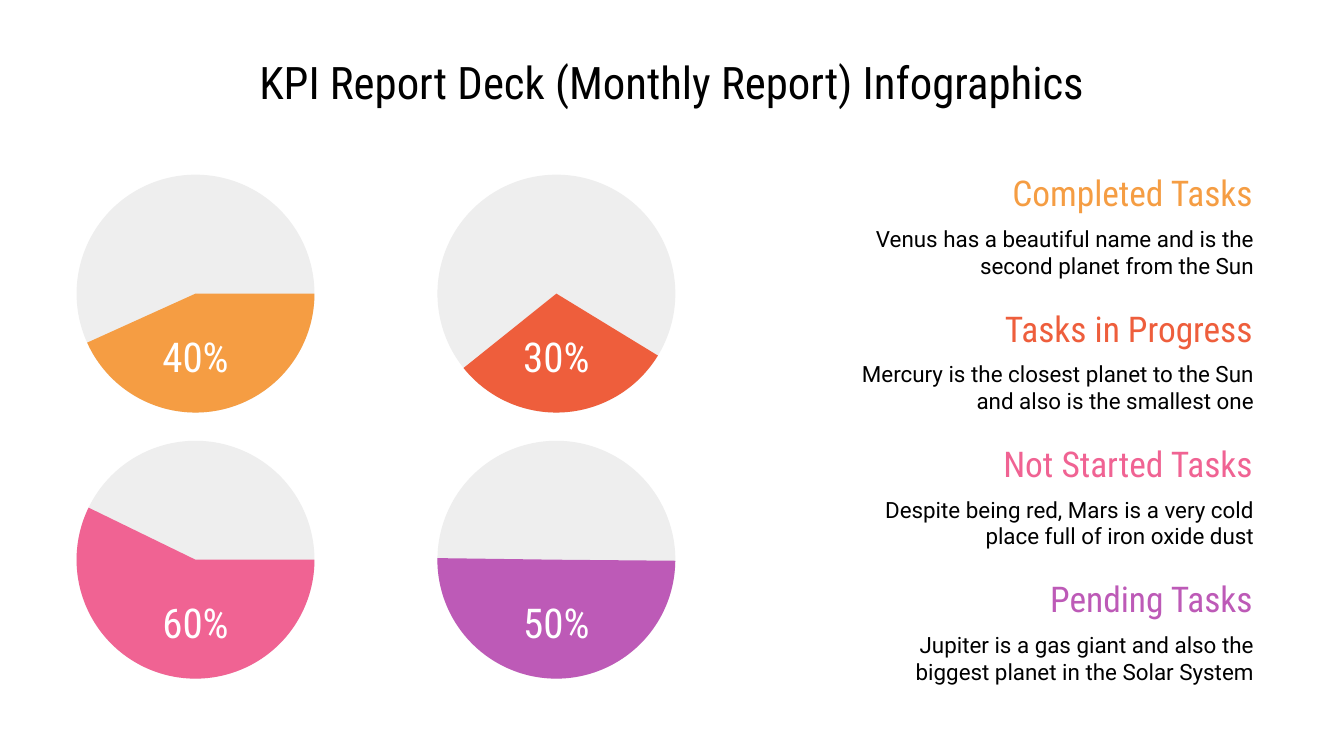
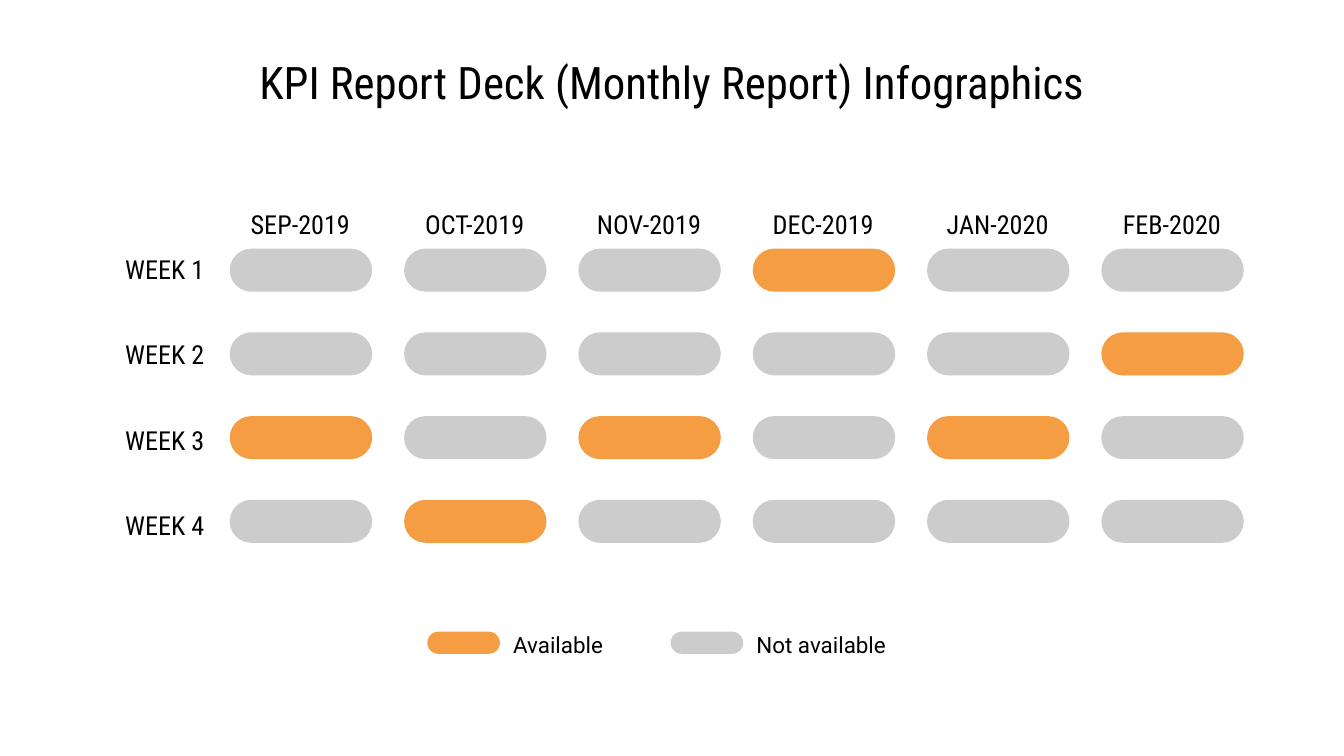
from pptx import Presentation
from pptx.dml.color import RGBColor
from pptx.enum.shapes import MSO_SHAPE as Kind
from pptx.enum.text import MSO_ANCHOR as Anchor, MSO_AUTO_SIZE as Fit, PP_ALIGN as Align
from pptx.util import Inches, Pt

hue = RGBColor.from_string
BLACK, WHITE, PALE, GREY = "000000", "FFFFFF", "EEEEEE", "CCCCCC"
GOLD, RED, PINK, PLUM = "F59D43", "EE5E3C", "F06393", "BD5AB7"
HEAD, BODY = "Roboto Condensed", "Roboto"

# The slide is a grid of 100 columns by 56.25 rows of square cells
deck = Presentation()
deck.slide_width, deck.slide_height = Inches(10), Inches(5.625)
CELL = deck.slide_width / 100


def draw(slide, kind, box, fill):
    shape = slide.shapes.add_shape(kind, *[round(n * CELL) for n in box])
    shape.shadow.inherit = False
    shape.fill.solid()
    shape.fill.fore_color.rgb = hue(fill)
    shape.line.fill.background()
    return shape


def write(slide, words, box, size, face=HEAD, color=BLACK, align=Align.CENTER,
          anchor=Anchor.MIDDLE, holder=None):
    shape = holder or slide.shapes.add_textbox(0, 0, 0, 0)
    shape.left, shape.top, shape.width, shape.height = [round(n * CELL) for n in box]
    frame = shape.text_frame
    frame.text = words
    frame.word_wrap = True
    frame.auto_size = Fit.NONE
    frame.vertical_anchor = anchor
    frame.margin_left = frame.margin_right = frame.margin_top = frame.margin_bottom = Inches(0.1)
    line = frame.paragraphs[0]
    line.alignment = align
    line.font.size, line.font.name = Pt(size), face
    line.font.color.rgb = hue(color)


# Both slides, with their shared title
slides = [deck.slides.add_slide(deck.slide_layouts[5]) for _ in range(2)]
for slide in slides:
    write(slide, "KPI Report Deck (Monthly Report) Infographics", (5.5, 5, 89, 2.1), 24,
          holder=slide.shapes.title)
tasks, weeks = slides

# Task shares: label, colour, start and end angle, heading, text
SIZE = 17.7
parts = [
    ("40%", GOLD, 0, 155.65, "Completed Tasks",
     "Venus has a beautiful name and is the second planet from the Sun"),
    ("30%", RED, 31.4, 141.29, "Tasks in Progress",
     "Mercury is the closest planet to the Sun and also is the smallest one"),
    ("60%", PINK, 0, 205.95, "Not Started Tasks",
     "Despite being red, Mars is a very cold place full of iron oxide dust"),
    ("50%", PLUM, 0.52, 180.75, "Pending Tasks",
     "Jupiter is a gas giant and also the biggest planet in the Solar System"),
]
for i, (share, color, start, end, head, text) in enumerate(parts):
    row, col = divmod(i, 2)
    x, y = 5.7 + 26.85 * col, 13 + 19.8 * row
    draw(tasks, Kind.OVAL, (x, y, SIZE, SIZE), PALE)
    pie = draw(tasks, Kind.PIE, (x, y, SIZE, SIZE), color)
    for k, angle in enumerate((start, end)):
        pie.adjustments[k] = angle * 0.6  # 60000 units a degree, scaled by 100000
    write(tasks, share, (x + 4.05, y + 10.5, 9.6, 6), 22, color=WHITE)

    top = 13 + 10.07 * i
    write(tasks, head, (68.6, top, 25.6, 2.7), 19, color=color, align=Align.RIGHT)
    write(tasks, text, (62.2, top + 2.9, 32.1, 5.7), 12, BODY, align=Align.RIGHT)

# Calendar: free slots as (week, month)
months = ["SEP-2019", "OCT-2019", "NOV-2019", "DEC-2019", "JAN-2020", "FEB-2020"]
free = {(0, 3), (1, 5), (2, 0), (2, 2), (2, 4), (3, 1)}
STEP = 12.97
for col, month in enumerate(months):
    write(weeks, month, (16.8 + STEP * col, 14.8, 11.1, 3.7), 14)
for row in range(4):
    write(weeks, f"WEEK {row + 1}", (7.2, 18.2 + 6.33 * row, 9, 3.7), 14, align=Align.RIGHT)
    for col in range(len(months)):
        box = (17.1 + STEP * col, 18.5 + 6.23 * row, 10.6, 3.2)
        pill = draw(weeks, Kind.ROUNDED_RECTANGLE, box, GOLD if (row, col) in free else GREY)
        pill.adjustments[0] = 0.5

# Legend
for i, (color, label) in enumerate([(GOLD, "Available"), (GREY, "Not available")]):
    x = 31.8 + 18.1 * i
    pill = draw(weeks, Kind.ROUNDED_RECTANGLE, (x, 47, 5.4, 1.65), color)
    pill.adjustments[0] = 0.5
    write(weeks, label, (x + 5.4, 46, 12.9, 3.7), 12, BODY, align=Align.LEFT, anchor=Anchor.TOP)

deck.save("out.pptx")
